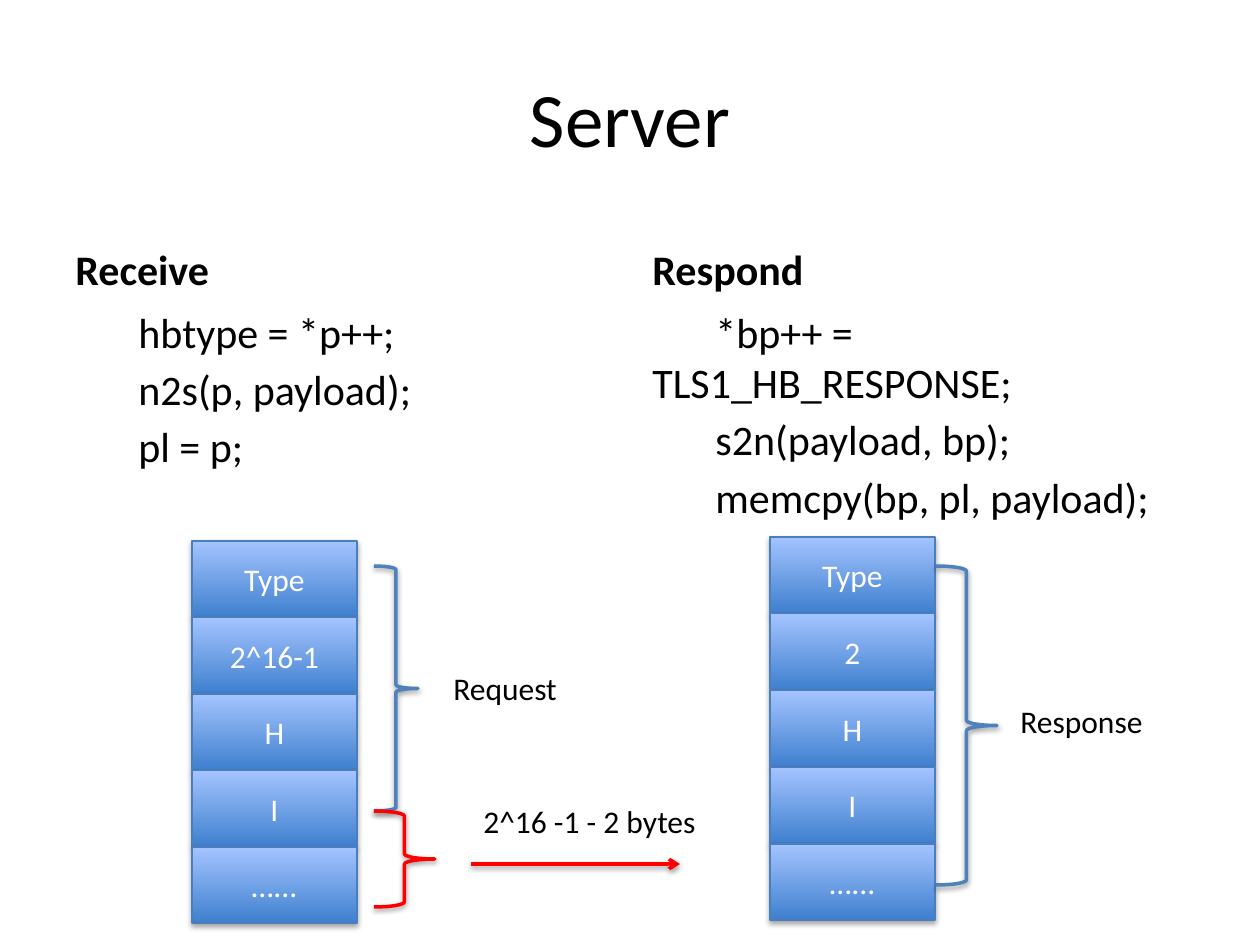
from lxml import etree
from pptx import Presentation
from pptx import util as u
from pptx.dml.color import RGBColor
from pptx.enum import shapes, text
from pptx.oxml import ns

COLORS = {
    "ink": "000000",
    "paper": "FFFFFF",
    "cell_bottom": "3F80CE",
    "cell_top": "A4C4FF",
    "cell_edge": "4B7EBC",
    "brace": "4F81BD",
    "overread": "FF0000",
}
FONT = "Calibri"
CELL_WIDTH, CELL_HEIGHT = 165, 76


def px(count):
    """Turn px into EMU."""
    return u.Emu(round(count * 914400 / 126))


def color(name):
    """Return a named colour."""
    return RGBColor.from_string(COLORS[name])


def add_child(parent, tag, **attributes):
    """Append an XML element with attributes."""
    return etree.SubElement(parent, ns.qn(tag), attributes)


def format_text(frame, size, ink="ink", bold=False, align=None):
    """Give every run of a frame the same look."""
    for paragraph in frame.paragraphs:
        paragraph.alignment = align
        for span in paragraph.runs:
            span.font.name = FONT
            span.font.size = u.Pt(size)
            span.font.bold = bold
            span.font.color.rgb = color(ink)


def set_line(line, name, width):
    """Set the colour and width of a line."""
    line.color.rgb = color(name)
    line.width = u.Pt(width)


def add_shadow(element, blur, distance, opacity):
    """Add a soft shadow that falls straight down."""
    properties = element.spPr
    effects = properties.find(ns.qn("a:effectLst"))
    if effects is None:
        effects = add_child(properties, "a:effectLst")
    shadow = add_child(effects, "a:outerShdw", blurRad=str(u.Pt(blur)), dist=str(u.Pt(distance)),
                       dir="5400000", rotWithShape="0")
    ink = add_child(shadow, "a:srgbClr", val=COLORS["ink"])
    add_child(ink, "a:alpha", val=str(opacity * 1000))


def add_title(page, words):
    """Place and format the title."""
    title = page.shapes.title
    title.left, title.top, title.width, title.height = map(px, (63, 38, 1134, 158))
    title.text_frame.text = words
    title.text_frame.vertical_anchor = text.MSO_ANCHOR.MIDDLE
    format_text(title.text_frame, 44, align=text.PP_ALIGN.CENTER)


def add_column(page, left, heading, code):
    """Add a heading with tabbed code lines under it."""
    box = page.shapes.add_textbox(*map(px, (left, 212, 557, 88)))
    box.text_frame.word_wrap = True
    box.text_frame.vertical_anchor = text.MSO_ANCHOR.BOTTOM
    box.text_frame.text = heading
    format_text(box.text_frame, 24, bold=True)

    box = page.shapes.add_textbox(*map(px, (left, 300, 557, 544)))
    box.text_frame.word_wrap = True
    box.text_frame.text = "\n".join("\t" + line for line in code)
    for index, paragraph in enumerate(box.text_frame.paragraphs):
        if index:
            paragraph.space_before = u.Pt(4)
        tabs = add_child(paragraph._p.get_or_add_pPr(), "a:tabLst")
        add_child(tabs, "a:tab", pos=str(px(63)), algn="l")
    format_text(box.text_frame, 24)


def add_cell(page, left, top, words):
    """Add one field of a message."""
    cell = page.shapes.add_shape(shapes.MSO_SHAPE.RECTANGLE,
                                 *map(px, (left, top, CELL_WIDTH, CELL_HEIGHT)))
    cell.fill.gradient()
    cell.fill.gradient_angle = 90
    for stop, name in zip(cell.fill.gradient_stops, ("cell_bottom", "cell_top")):
        stop.color.rgb = color(name)
    set_line(cell.line, "cell_edge", 0.75)
    cell.shadow.inherit = False
    add_shadow(cell._element, 3.15, 1.8, 35)
    cell.text_frame.text = words
    cell.text_frame.vertical_anchor = text.MSO_ANCHOR.MIDDLE
    format_text(cell.text_frame, 18, "paper", align=text.PP_ALIGN.CENTER)


def add_message(page, left, first_top, last_top, fields):
    """Stack the fields of a message at equal steps."""
    step = (last_top - first_top) / (len(fields) - 1)
    for index, words in enumerate(fields):
        add_cell(page, left, first_top + index * step, words)


def add_brace(page, bounds, name):
    """Add a right brace that spans some fields."""
    brace = page.shapes.add_shape(shapes.MSO_SHAPE.RIGHT_BRACE, *map(px, bounds))
    brace.fill.background()
    set_line(brace.line, name, 2)
    brace.shadow.inherit = False
    add_shadow(brace._element, 3.15, 1.57, 38)


def add_arrow(page, start, end, name):
    """Add an arrow from start to end."""
    arrow = page.shapes.add_connector(shapes.MSO_CONNECTOR.STRAIGHT, *map(px, start + end))
    set_line(arrow.line, name, 2)
    add_child(arrow.line._get_or_add_ln(), "a:tailEnd", type="arrow")
    add_shadow(arrow._element, 3.15, 1.57, 38)


def add_label(page, bounds, words):
    """Add a label on one line."""
    box = page.shapes.add_textbox(*map(px, bounds))
    box.text_frame.word_wrap = False
    box.text_frame.auto_size = text.MSO_AUTO_SIZE.SHAPE_TO_FIT_TEXT
    box.text_frame.text = words
    format_text(box.text_frame, 18)


def main():
    """Build the slide and save it."""
    deck = Presentation()
    deck.slide_width, deck.slide_height = px(1260), px(945)
    page = deck.slides.add_slide(deck.slide_layouts[5])

    add_title(page, "Server")
    add_column(page, 63, "Receive", ["hbtype = *p++;", "n2s(p, payload);", "pl = p;"])
    add_column(page, 640, "Respond", ["*bp++ = TLS1_HB_RESPONSE;", "s2n(payload, bp);",
                                      "memcpy(bp, pl, payload);"])

    add_message(page, 192, 541, 847, ["Type", "2^16-1", "H", "I", "…..."])
    add_message(page, 770, 537, 844, ["Type", "2", "H", "I", "…..."])

    add_brace(page, (374, 566, 44, 245), "brace")
    add_brace(page, (374, 811, 61, 96), "overread")
    add_brace(page, (936, 566, 61, 319), "brace")
    add_arrow(page, (471, 864), (680, 864), "overread")

    add_label(page, (441, 663, 131, 50), "Request")
    add_label(page, (471, 796, 241, 50), "2^16 -1 - 2 bytes")
    add_label(page, (1008, 696, 150, 50), "Response")

    deck.save("out.pptx")


if __name__ == "__main__":
    main()
